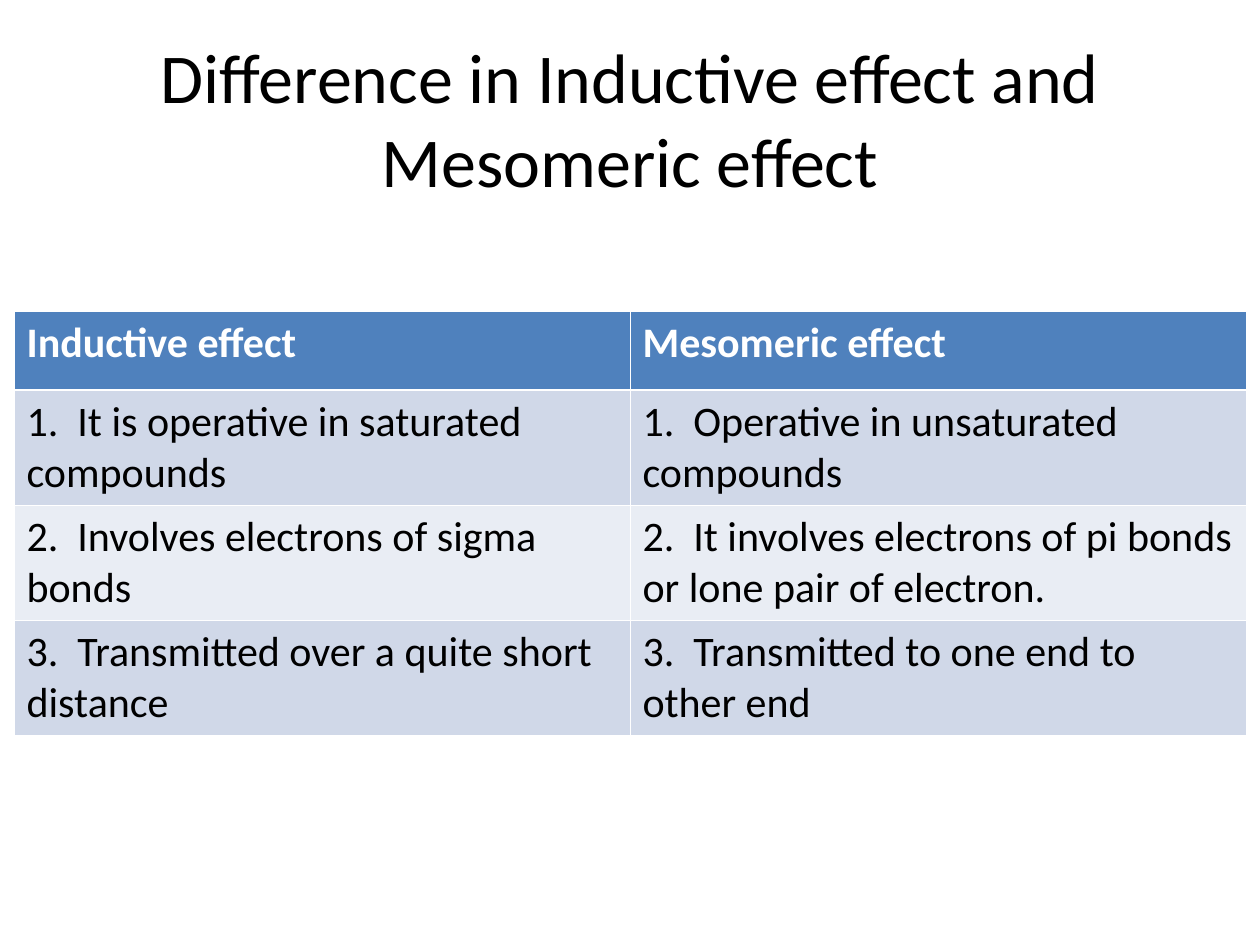
from dataclasses import dataclass

from pptx import Presentation
from pptx.dml.color import RGBColor
from pptx.enum.text import MSO_ANCHOR, PP_ALIGN
from pptx.oxml import parse_xml
from pptx.oxml.ns import nsdecls
from pptx.util import Emu, Pt

PX_PER_INCH = 126


@dataclass(frozen=True)
class Theme:
    font: str = "Calibri"
    title_size: int = 40
    table_size: int = 24
    text: str = "000000"
    light: str = "FFFFFF"
    header: str = "4F81BD"
    bands: tuple = ("D0D8E8", "E9EDF4")
    border: float = 0.45
    header_border: float = 1.47


THEME = Theme()

TITLE = "Difference in Inductive effect and Mesomeric effect"
ROWS = [
    ("Inductive effect", "Mesomeric effect"),
    ("1.  It is operative in saturated compounds",
     "1.  Operative in unsaturated compounds"),
    ("2.  Involves electrons of sigma  bonds",
     "2.  It involves electrons of pi bonds or lone pair of electron."),
    ("3.  Transmitted over a quite short distance",
     "3.  Transmitted to one end to other end"),
]
COL_WIDTH = 616
ROW_HEIGHTS = [79, 115, 115, 115]


def px(n):
    return Emu(round(n * 914400 / PX_PER_INCH))


def write(tf, text, *, size, color=THEME.text, bold=False, align=PP_ALIGN.LEFT):
    tf.word_wrap = True
    p = tf.paragraphs[0]
    p.alignment = align
    r = p.add_run()
    r.text = text
    r.font.name = THEME.font
    r.font.size = Pt(size)
    r.font.bold = bold
    r.font.color.rgb = RGBColor.from_string(color)


def add_title(s):
    tf = s.shapes.add_textbox(px(63), px(38), px(1134), px(158)).text_frame
    tf.vertical_anchor = MSO_ANCHOR.MIDDLE
    write(tf, TITLE, size=THEME.title_size, align=PP_ALIGN.CENTER)


def set_borders(cell, **widths):
    tc_pr = cell._tc.get_or_add_tcPr()
    for i, side in enumerate("LRTB"):
        width = Pt(widths.get(side, THEME.border))
        tc_pr.insert(i, parse_xml(
            f'<a:ln{side} {nsdecls("a")} w="{width}"><a:solidFill>'
            f'<a:srgbClr val="{THEME.light}"/></a:solidFill></a:ln{side}>'))


def fill_cell(cell, text, row):
    is_header = row == 0
    fill = THEME.header if is_header else THEME.bands[(row - 1) % 2]
    cell.fill.solid()
    cell.fill.fore_color.rgb = RGBColor.from_string(fill)
    write(cell.text_frame, text, size=THEME.table_size, bold=is_header,
          color=THEME.light if is_header else THEME.text)
    thick = {0: {"B": THEME.header_border}, 1: {"T": THEME.header_border}}
    set_borders(cell, **thick.get(row, {}))


def add_comparison(s):
    cols = len(ROWS[0])
    table = s.shapes.add_table(len(ROWS), cols, px(14), px(311),
                               px(COL_WIDTH * cols), px(sum(ROW_HEIGHTS))).table
    for col in table.columns:
        col.width = px(COL_WIDTH)
    for i, (height, texts) in enumerate(zip(ROW_HEIGHTS, ROWS)):
        table.rows[i].height = px(height)
        for j, text in enumerate(texts):
            fill_cell(table.cell(i, j), text, i)


def main():
    prs = Presentation()
    prs.slide_width, prs.slide_height = px(1260), px(945)
    s = prs.slides.add_slide(prs.slide_layouts[6])
    add_title(s)
    add_comparison(s)
    prs.save("out.pptx")


if __name__ == "__main__":
    main()
